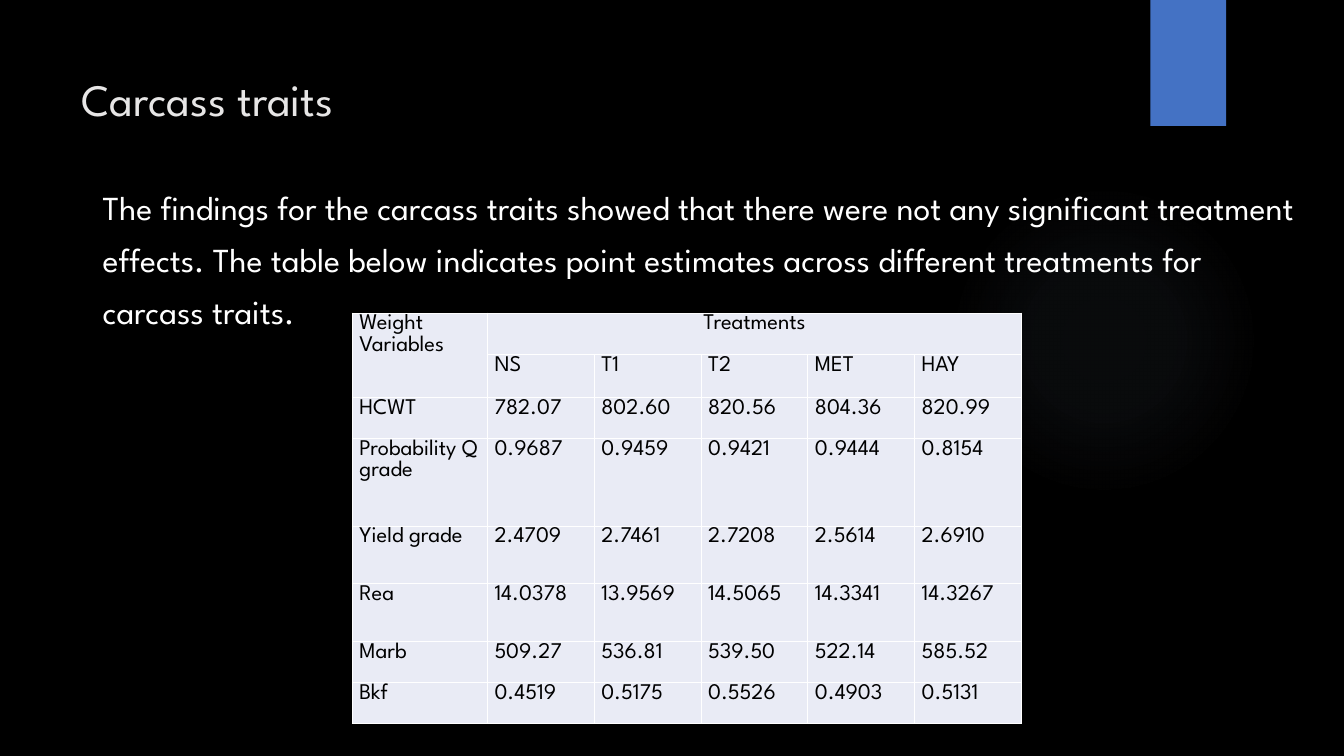
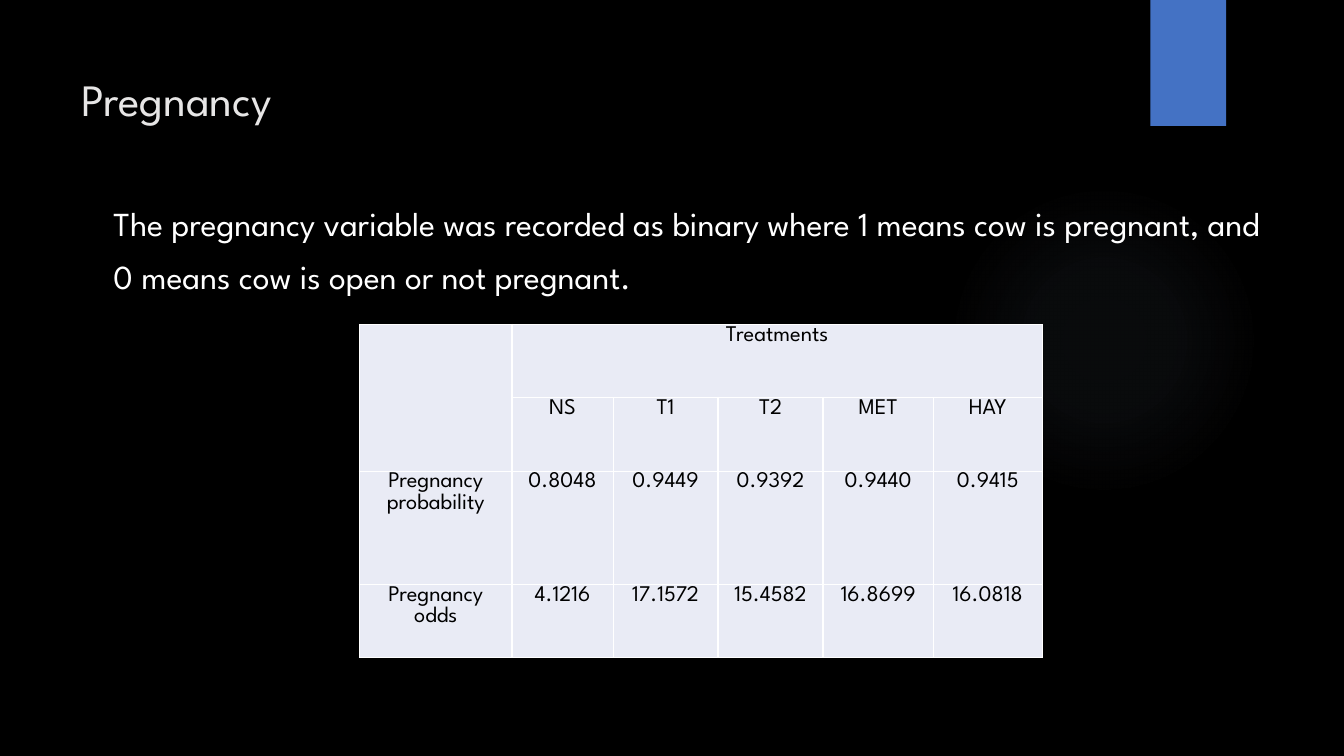
from dataclasses import dataclass

import pptx
import pptx.dml.color
import pptx.enum.shapes
import pptx.enum.text
import pptx.oxml
import pptx.oxml.ns
import pptx.presentation
import pptx.shapes.autoshape
import pptx.slide
import pptx.table
import pptx.text.text
import pptx.util

Pt = pptx.util.Pt
RGBColor = pptx.dml.color.RGBColor
PP_ALIGN = pptx.enum.text.PP_ALIGN
MSO_SHAPE = pptx.enum.shapes.MSO_SHAPE

BLACK = RGBColor(0x00, 0x00, 0x00)
WHITE = RGBColor(0xFF, 0xFF, 0xFF)
TITLE_GREY = RGBColor(0xE7, 0xE6, 0xE6)
TAB_BLUE = RGBColor(0x44, 0x72, 0xC4)
GLOW = RGBColor(0x84, 0x97, 0xB0)
CELL_FILL = RGBColor(0xE9, 0xEB, 0xF5)

FONT = "League Spartan"
LINE_SPACING = 1.3
TREATMENTS = ["NS", "T1", "T2", "MET", "HAY"]
GLOW_STOPS = [(0, 7), (36, 6), (69, 0)]  # position and opacity, in percent


@dataclass(frozen=True)
class Box:
    left: float
    top: float
    width: float
    height: float

    def lengths(self) -> tuple[pptx.util.Length, ...]:
        return Pt(self.left), Pt(self.top), Pt(self.width), Pt(self.height)


@dataclass(frozen=True)
class TraitSlide:
    title: str
    body: str
    body_box: Box
    table_left: float
    table_top: float
    col_widths: list[float]
    row_heights: list[float]
    align: PP_ALIGN
    corner: str
    rows: list[list[str]]


TITLE_BOX = Box(51, 36, 741, 110)
TAB_BOX = Box(821.75, 0, 54, 90)
GLOW_BOX = Box(677.5, 131.75, 222, 222)

SLIDES = [
    TraitSlide(
        title="Carcass traits",
        body="The findings for the carcass traits showed that there were not any "
        "significant treatment effects. The table below indicates point estimates "
        "across different treatments for carcass traits.",
        body_box=Box(66.25, 121, 869, 116.5),
        table_left=251.75,
        table_top=223.75,
        col_widths=[96.5] + [76.3] * 5,
        row_heights=[29.4, 30.6, 29.4, 62.6, 41.2, 41.2, 29.4, 29.4],
        align=PP_ALIGN.LEFT,
        corner="Weight\nVariables",
        rows=[
            ["HCWT", "782.07", "802.60", "820.56", "804.36", "820.99"],
            ["Probability Q grade", "0.9687", "0.9459", "0.9421", "0.9444", "0.8154"],
            ["Yield grade", "2.4709", "2.7461", "2.7208", "2.5614", "2.6910"],
            ["Rea", "14.0378", "13.9569", "14.5065", "14.3341", "14.3267"],
            ["Marb", "509.27", "536.81", "539.50", "522.14", "585.52"],
            ["Bkf", "0.4519", "0.5175", "0.5526", "0.4903", "0.5131"],
        ],
    ),
    TraitSlide(
        title="Pregnancy",
        body="The pregnancy variable was recorded as binary where 1 means cow is "
        "pregnant, and 0 means cow is open or not pregnant.",
        body_box=Box(74, 133, 849.5, 65.5),
        table_left=256.75,
        table_top=231.75,
        col_widths=[109, 72.2, 75, 75, 78.8, 77.8],
        row_heights=[52.4, 52.4, 81, 52.4],
        align=PP_ALIGN.CENTER,
        corner="",
        rows=[
            ["Pregnancy probability", "0.8048", "0.9449", "0.9392", "0.9440", "0.9415"],
            ["Pregnancy odds", "4.1216", "17.1572", "15.4582", "16.8699", "16.0818"],
        ],
    ),
]


def format_text(tf: pptx.text.text.TextFrame, size: float, color: RGBColor,
                align: PP_ALIGN, spacing: float) -> None:
    for p in tf.paragraphs:
        p.alignment = align
        p.line_spacing = spacing
        p.space_before = p.space_after = Pt(0)
        p.font.size = Pt(size)
        p.font.name = FONT
        for r in p.runs:
            r.font.size = Pt(size)
            r.font.name = FONT
            r.font.color.rgb = color


def fill_with_glow(sp: pptx.shapes.autoshape.Shape) -> None:
    """Give the shape a radial fill that fades out towards its edge."""
    stops = "".join(
        f'<a:gs pos="{pos * 1000}"><a:srgbClr val="{GLOW}">'
        f'<a:alpha val="{opacity * 1000}"/></a:srgbClr></a:gs>'
        for pos, opacity in GLOW_STOPS
    )
    grad = pptx.oxml.parse_xml(
        f'<a:gradFill {pptx.oxml.ns.nsdecls("a")}><a:gsLst>{stops}</a:gsLst>'
        '<a:path path="circle"><a:fillToRect l="50000" t="50000" r="50000" b="50000"/>'
        "</a:path></a:gradFill>"
    )
    sp._element.spPr.find(pptx.oxml.ns.qn("a:prstGeom")).addnext(grad)


def decorate_layout(layout: pptx.slide.SlideLayout, s: pptx.slide.Slide) -> None:
    """Set the shared background, and draw the glow and tab on s to move them to its layout."""
    layout.background.fill.solid()
    layout.background.fill.fore_color.rgb = BLACK
    for ph in list(layout.placeholders):
        if ph.placeholder_format.idx != 0:
            ph._element.getparent().remove(ph._element)

    glow = s.shapes.add_shape(MSO_SHAPE.OVAL, *GLOW_BOX.lengths())
    fill_with_glow(glow)
    tab = s.shapes.add_shape(MSO_SHAPE.RECTANGLE, *TAB_BOX.lengths())
    tab.fill.solid()
    tab.fill.fore_color.rgb = TAB_BLUE
    for i, sp in enumerate((glow, tab)):
        sp.line.fill.background()
        sp.shadow.inherit = False
        layout.shapes._spTree.insert(2 + i, sp._element)


def add_title(s: pptx.slide.Slide, text: str) -> None:
    title = s.shapes.title
    title.left, title.top, title.width, title.height = TITLE_BOX.lengths()
    tf = title.text_frame
    tf.text = text
    tf.vertical_anchor = pptx.enum.text.MSO_ANCHOR.TOP
    format_text(tf, 32, TITLE_GREY, PP_ALIGN.LEFT, LINE_SPACING)


def add_body(s: pptx.slide.Slide, text: str, box: Box) -> None:
    tf = s.shapes.add_textbox(*box.lengths()).text_frame
    tf.word_wrap = True
    tf.text = text
    format_text(tf, 24, WHITE, PP_ALIGN.LEFT, LINE_SPACING)


def style_cell(cell: pptx.table._Cell, align: PP_ALIGN) -> None:
    cell.margin_left = cell.margin_right = Pt(5)
    cell.margin_top = cell.margin_bottom = Pt(0)
    tcPr = cell._tc.get_or_add_tcPr()
    for side in "LRTB":
        tcPr.append(pptx.oxml.parse_xml(
            f'<a:ln{side} {pptx.oxml.ns.nsdecls("a")} w="{Pt(1)}"><a:solidFill>'
            f'<a:srgbClr val="{WHITE}"/></a:solidFill></a:ln{side}>'
        ))
    cell.fill.solid()
    cell.fill.fore_color.rgb = CELL_FILL
    format_text(cell.text_frame, 16, BLACK, align, 1.05)


def add_trait_table(s: pptx.slide.Slide, data: TraitSlide) -> None:
    grid = [[data.corner, "Treatments", "", "", "", ""], ["", *TREATMENTS], *data.rows]
    box = Box(data.table_left, data.table_top, sum(data.col_widths), sum(data.row_heights))
    table = s.shapes.add_table(len(grid), len(grid[0]), *box.lengths()).table
    table.first_row = table.horz_banding = False
    for column, width in zip(table.columns, data.col_widths):
        column.width = Pt(width)
    for row, height in zip(table.rows, data.row_heights):
        row.height = Pt(height)
    for i, texts in enumerate(grid):
        for j, text in enumerate(texts):
            cell = table.cell(i, j)
            cell.text = text
            style_cell(cell, PP_ALIGN.CENTER if (i, j) == (0, 1) else data.align)
    table.cell(0, 0).merge(table.cell(1, 0))
    table.cell(0, 1).merge(table.cell(0, len(TREATMENTS)))


def main() -> None:
    prs = pptx.Presentation()
    prs.slide_width, prs.slide_height = Pt(960), Pt(540)
    layout = prs.slide_layouts.get_by_name("Title Only")
    for i, data in enumerate(SLIDES):
        s = prs.slides.add_slide(layout)
        if i == 0:
            decorate_layout(layout, s)
        add_title(s, data.title)
        add_trait_table(s, data)
        add_body(s, data.body, data.body_box)
    prs.save("out.pptx")


if __name__ == "__main__":
    main()
